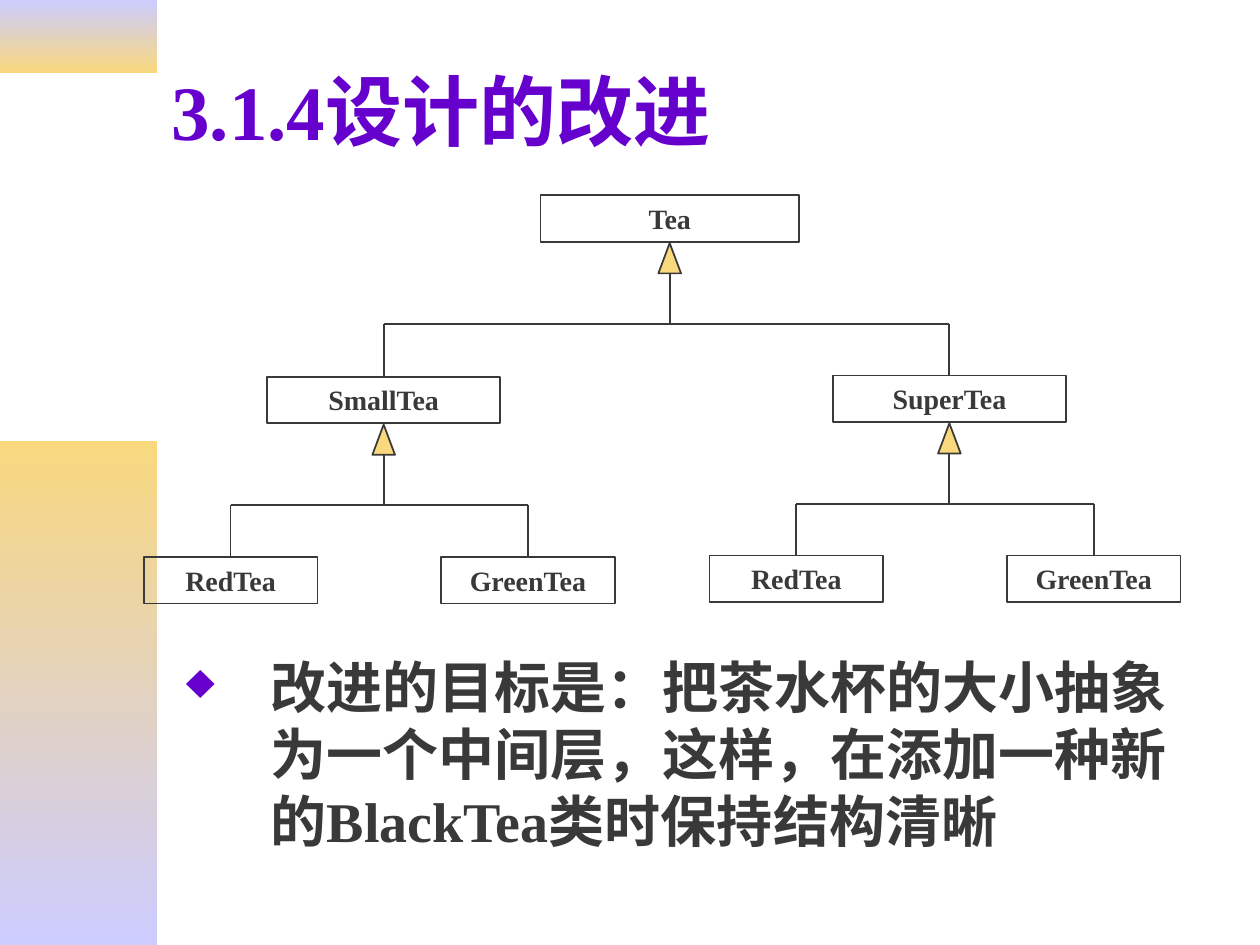
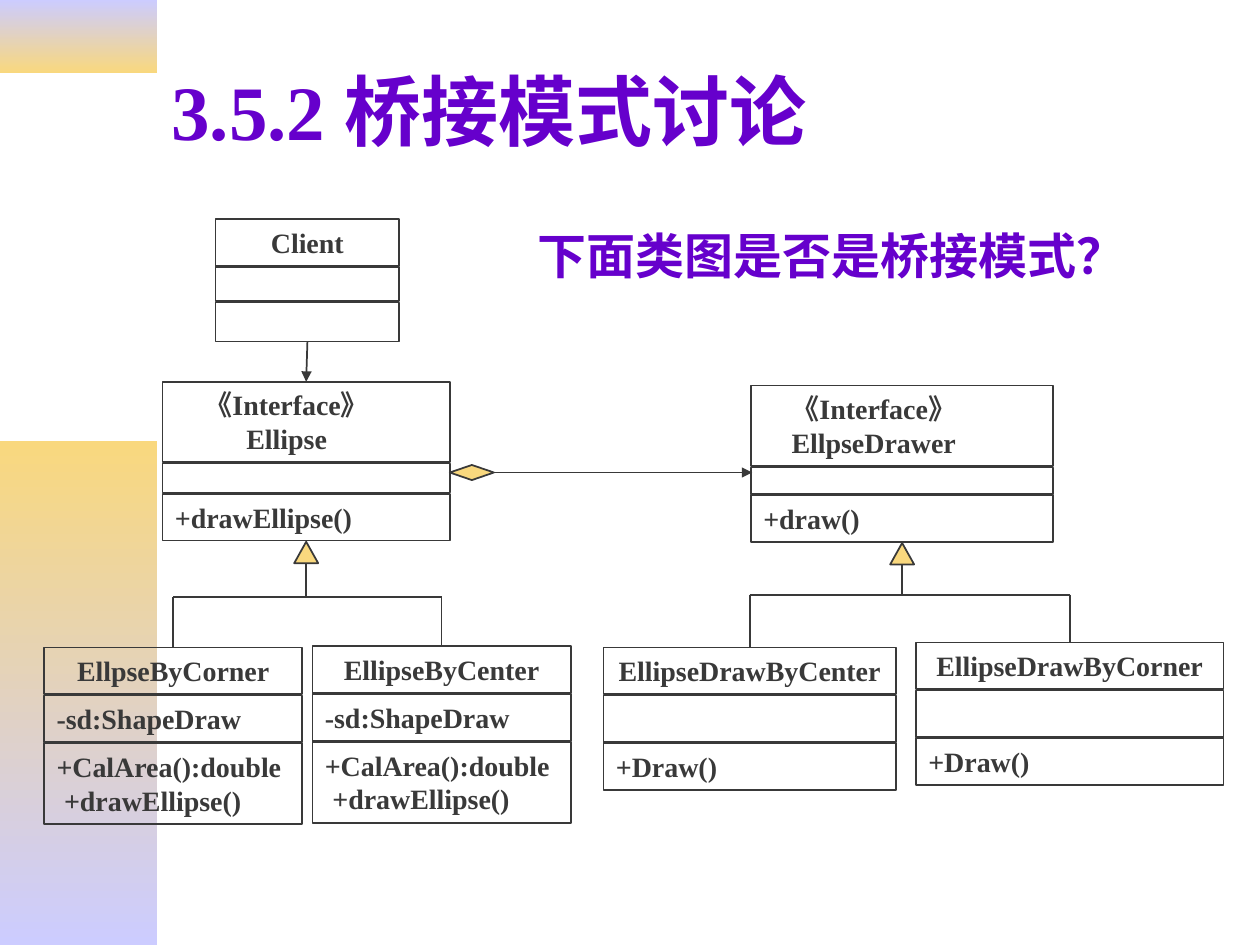
from lxml.etree import SubElement
from pptx import Presentation
from pptx.dml.color import RGBColor
from pptx.enum.shapes import MSO_CONNECTOR, MSO_SHAPE
from pptx.enum.text import MSO_ANCHOR, MSO_AUTO_SIZE, PP_ALIGN
from pptx.oxml.ns import qn
from pptx.util import Inches, Pt

INK = RGBColor(0x39, 0x39, 0x39)
VIOLET = RGBColor(0x66, 0x00, 0xCC)
LILAC = RGBColor(0xCC, 0xCC, 0xFF)
GOLD = RGBColor(0xF9, 0xD8, 0x7E)
FONT = "Times New Roman"
ROW = 0.37   # height of a one-line box
GAP = 0.01   # space between the parts of a class


# Text
def write(frame, text, size=16, color=INK, align=PP_ALIGN.LEFT,
          anchor=MSO_ANCHOR.TOP, bullet=None, lead=0, trail=0):
    """Fill a frame; trail indents the first line's right, lead the last line's left."""
    frame.word_wrap = True
    frame.auto_size = MSO_AUTO_SIZE.NONE
    frame.vertical_anchor = anchor
    frame.text = text
    paras = frame.paragraphs
    if trail:
        paras[0]._p.get_or_add_pPr().set("marR", str(Inches(trail)))
    if lead:
        paras[-1]._p.get_or_add_pPr().set("marL", str(Inches(lead)))
    for para in paras:
        para.alignment = align
        if bullet:
            mark(para, bullet)
        for run in para.runs:
            font = run.font
            font.name, font.size, font.bold = FONT, Pt(size), True
            font.color.rgb = color


def mark(para, char, hang=0.67):
    props = para._p.get_or_add_pPr()
    props.set("marL", str(Inches(hang)))
    props.set("indent", str(-Inches(hang)))
    tint = SubElement(props, qn("a:buClr"))
    SubElement(tint, qn("a:srgbClr")).set("val", str(VIOLET))
    SubElement(props, qn("a:buSzPct")).set("val", "90000")
    SubElement(props, qn("a:buChar")).set("char", char)


def label(slide, box, text, **style):
    area = slide.shapes.add_textbox(*map(Inches, box))
    write(area.text_frame, text, **style)


# Shapes and lines
def draw(slide, kind, box, fill=None):
    shape = slide.shapes.add_shape(kind, *map(Inches, box))
    shape.shadow.inherit = False
    shape.line.color.rgb = INK
    shape.line.width = Pt(1)
    if fill:
        shape.fill.solid()
        shape.fill.fore_color.rgb = fill
    else:
        shape.fill.background()
    return shape


def cell(slide, box, text="", **style):
    shape = draw(slide, MSO_SHAPE.RECTANGLE, box)
    if text:
        write(shape.text_frame, text, **style)
    return shape


def link(slide, start, end, arrow=False):
    line = slide.shapes.add_connector(
        MSO_CONNECTOR.STRAIGHT, *map(Inches, (*start, *end)))
    line.line.color.rgb = INK
    line.line.width = Pt(1)
    if arrow:
        SubElement(line.line._get_or_add_ln(), qn("a:tailEnd")).set("type", "triangle")
    SubElement(line._element.spPr, qn("a:effectLst"))
    return line


# Class diagram parts: each one returns its box and its top and bottom cells
def name_box(slide, x, y, width, text):
    box = (x, y, width, ROW)
    shape = cell(slide, box, text, align=PP_ALIGN.CENTER)
    return box, shape, shape


def class_box(slide, x, y, width, heights, name, field="", method="", trail=0):
    cells, top = [], y
    for height, text in zip(heights, (name, field, method)):
        style = {"lead": 0.06 if "\n" in text else 0}
        if not cells:
            style = {"align": PP_ALIGN.CENTER, "trail": trail}
        cells.append(cell(slide, (x, top, width, height), text, **style))
        top += height + GAP
    return (x, y, width, top - GAP - y), cells[0], cells[-1]


def inherit(slide, parent, kids, drop, head):
    """Triangle under the parent, a stem, a bar and a line to each child."""
    x, y, width, height = parent[0]
    mid, base = x + width / 2, y + height
    wide, tall = head
    bar = base + drop
    draw(slide, MSO_SHAPE.ISOSCELES_TRIANGLE,
         (mid - wide / 2, base + GAP, wide, tall), GOLD)
    link(slide, (mid, base + GAP + tall), (mid, bar))
    mids = [box[0] + box[2] / 2 for box, _, _ in kids]
    link(slide, (mids[0], bar), (mids[-1], bar))
    for at, (box, top, _) in zip(mids, kids):
        link(slide, (at, bar), (at, box[1])).end_connect(top, 0)


# Shared look
def add_bands(layout, slide):
    """Draw the left bands and hand them to the layout, behind everything."""
    bands = (((0, 0, 1.25, 0.58), (LILAC, GOLD)), ((0, 3.5, 1.25, 4), (GOLD, LILAC)))
    for box, colors in bands:
        band = draw(slide, MSO_SHAPE.RECTANGLE, box)
        band.line.fill.background()
        band.fill.gradient()
        band.fill.gradient_angle = 270
        for stop, color in zip(band.fill.gradient_stops, colors):
            stop.color.rgb = color
        layout.shapes.element.insert(2, band.element)


def add_slide(deck, text):
    slide = deck.slides.add_slide(deck.slide_layouts[5])
    title = slide.shapes.title
    title.left, title.top, title.width, title.height = map(Inches, (1.26, 0.21, 8.5, 1.32))
    write(title.text_frame, text, size=44, color=VIOLET, anchor=MSO_ANCHOR.MIDDLE)
    return slide


# Slide 1: the tea hierarchy
def tea_group(slide, x, y, name):
    """A tea size with its two kinds below, from the left edge of the first kind."""
    size = name_box(slide, x + 0.98, y, 1.85, name)
    kinds = [name_box(slide, x + 2.36 * i, y + 1.43, 1.38, kind)
             for i, kind in enumerate(("RedTea", "GreenTea"))]
    inherit(slide, size, kinds, 0.65, (0.18, 0.24))
    return size


def tea_slide(deck):
    slide = add_slide(deck, "3.1.4设计的改进")
    root = name_box(slide, 4.29, 1.55, 2.05, "Tea")
    sizes = [tea_group(slide, 1.14, 2.99, "SmallTea"),
             tea_group(slide, 5.63, 2.98, "SuperTea")]
    inherit(slide, root, sizes, 0.65, (0.18, 0.24))
    label(slide, (1.38, 5.13, 8.03, 1.7),
          "改进的目标是：把茶水杯的大小抽象为一个中间层，这样，在添加一种新的BlackTea类时保持结构清晰",
          size=32, bullet="♦")
    return slide


# Slide 2: the bridge discussion
def bridge_slide(deck):
    slide = add_slide(deck, "3.5.2 桥接模式讨论")
    label(slide, (4.17, 1.74, 5.12, 0.57), "下面类图是否是桥接模式？", size=28, color=VIOLET)

    client = class_box(slide, 1.71, 1.74, 1.46, (ROW, 0.27, 0.31), "Client")
    shape = class_box(slide, 1.29, 3.03, 2.28, (0.64, 0.23, ROW),
                      "《Interface》\nEllipse", method="+drawEllipse()", trail=0.31)
    drawer = class_box(slide, 5.96, 3.06, 2.4, (0.64, 0.21, ROW),
                       "《Interface》\nEllpseDrawer", method="+draw()", trail=0.45)

    # Use and aggregation
    use = link(slide, (2.44, 2.71), (2.44, 3.03), arrow=True)
    use.begin_connect(client[2], 2)
    use.end_connect(shape[1], 0)
    gem = draw(slide, MSO_SHAPE.DIAMOND, (3.57, 3.69, 0.35, 0.12), GOLD)
    link(slide, (3.92, 3.75), (5.97, 3.75), arrow=True).begin_connect(gem, 3)

    # Subclasses
    shapes = [class_box(slide, x, y, 2.05, (ROW, ROW, 0.64), name, "-sd:ShapeDraw",
                        "+CalArea():double\n+drawEllipse()")
              for x, y, name in ((0.35, 5.14, "EllpseByCorner"),
                                 (2.48, 5.13, "EllipseByCenter"))]
    drawers = [class_box(slide, x, y, width, (ROW, ROW, ROW), name, method="+Draw()")
               for x, y, width, name in ((4.79, 5.14, 2.32, "EllipseDrawByCenter"),
                                         (7.27, 5.1, 2.44, "EllipseDrawByCorner"))]
    inherit(slide, shape, shapes, 0.45, (0.19, 0.17))
    inherit(slide, drawer, drawers, 0.42, (0.19, 0.17))


def main():
    deck = Presentation()
    deck.slide_width, deck.slide_height = Inches(10), Inches(7.5)
    first = tea_slide(deck)
    add_bands(first.slide_layout, first)
    bridge_slide(deck)
    deck.save("out.pptx")


if __name__ == "__main__":
    main()
